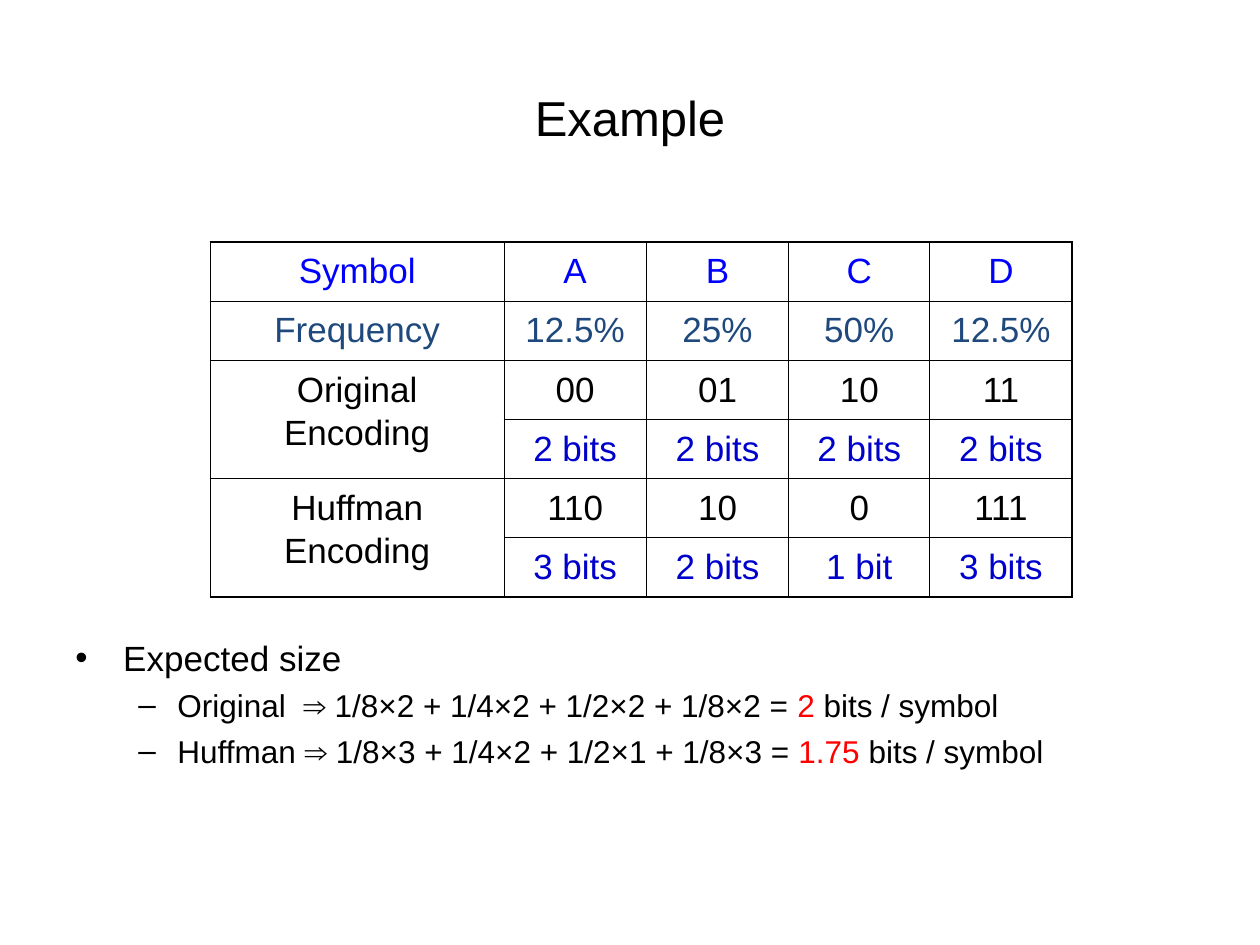
from lxml.etree import SubElement
from pptx import Presentation
from pptx.dml.color import RGBColor
from pptx.enum.text import MSO_ANCHOR as Anchor, PP_ALIGN as Align
from pptx.oxml.ns import qn
from pptx.util import Inches, Pt


def color(value):
    return RGBColor.from_string(value)


def write(paragraph, runs, size, formats):
    for name, value in formats.items():
        setattr(paragraph, name, value)
    for text, tint in runs:
        run = paragraph.add_run()
        run.text = text
        for name, value in {"name": "Arial", "size": Pt(size)}.items():
            setattr(run.font, name, value)
        run.font.color.rgb = color(tint)


BLACK, RED = "000000", "FF0000"

prs = Presentation()
prs.slide_width, prs.slide_height = Inches(10), Inches(7.5)
slide = prs.slides.add_slide(prs.slide_layouts[6])

title = slide.shapes.add_textbox(Inches(0.5), Inches(0.3), Inches(9), Inches(1.25)).text_frame
for name, value in {"word_wrap": True, "vertical_anchor": Anchor.MIDDLE}.items():
    setattr(title, name, value)
write(title.paragraphs[0], [("Example", BLACK)], 28, {"alignment": Align.CENTER})

sizes = slide.shapes.add_textbox(Inches(0.5), Inches(5), Inches(9), Inches(1.7)).text_frame
sizes.word_wrap = True
lines = [
    (0, [("Expected size", BLACK)]),
    (1, [("Original  ⇒ 1/8×2 + 1/4×2 + 1/2×2 + 1/8×2 = ", BLACK), ("2", RED), (" bits / symbol", BLACK)]),
    (1, [("Huffman ⇒ 1/8×3 + 1/4×2 + 1/2×1 + 1/8×3 = ", BLACK), ("1.75", RED), (" bits / symbol", BLACK)]),
]
levels = [("•", 20, 5, 0.38, -0.38), ("–", 18, 4.5, 0.81, -0.31)]
for index, (level, runs) in enumerate(lines):
    bullet, size, gap, margin, indent = levels[level]
    line = sizes.add_paragraph() if index else sizes.paragraphs[0]
    write(line, runs, size, {"level": level, "space_before": Pt(gap)})
    props = line._p.get_or_add_pPr()
    props.set("marL", str(Inches(margin)))
    props.set("indent", str(Inches(indent)))
    bullet_color = SubElement(props, qn("a:buClr"))
    SubElement(bullet_color, qn("a:srgbClr"), val=BLACK)
    SubElement(props, qn("a:buFont"), typeface="Arial")
    SubElement(props, qn("a:buChar"), char=bullet)

encodings = [
    ("0000FF", ["Symbol", "A", "B", "C", "D"]),
    ("1F497D", ["Frequency", "12.5%", "25%", "50%", "12.5%"]),
    (BLACK, ["Original Encoding", "00", "01", "10", "11"]),
    ("0000CC", ["", "2 bits", "2 bits", "2 bits", "2 bits"]),
    (BLACK, ["Huffman Encoding", "110", "10", "0", "111"]),
    ("0000CC", ["", "3 bits", "2 bits", "1 bit", "3 bits"]),
]
widths = [2.33, 1.13, 1.13, 1.12, 1.13]
row_count, column_count = len(encodings), len(widths)
table = slide.shapes.add_table(
    row_count, column_count, Inches(1.67), Inches(1.92), Inches(6.84), Inches(2.83)
).table
for name in ("first_row", "horz_banding"):
    setattr(table, name, False)
for column, width in zip(table.columns, widths):
    column.width = Inches(width)
for row in table.rows:
    row.height = Inches(0.47)
for top in (2, 4):
    table.cell(top, 0).merge(table.cell(top + 1, 0))

cell_format = {"alignment": Align.CENTER, "line_spacing": 1.1, "space_before": Pt(5)}
for r, (tint, texts) in enumerate(encodings):
    for c, text in enumerate(texts):
        cell = table.cell(r, c)
        if cell.is_spanned:
            continue
        write(cell.text_frame.paragraphs[0], [(text, tint)], 20, cell_format)
        bottom = r + (cell.span_height if cell.is_merge_origin else 1)
        outer_edges = {
            "a:lnL": c == 0,
            "a:lnR": c == column_count - 1,
            "a:lnT": r == 0,
            "a:lnB": bottom == row_count,
        }
        props = cell._tc.get_or_add_tcPr()
        for edge, outer in outer_edges.items():
            border = SubElement(props, qn(edge), w=str(Pt(1.08 if outer else 0.45)))
            SubElement(SubElement(border, qn("a:solidFill")), qn("a:srgbClr"), val=BLACK)
        cell.fill.background()

prs.save("out.pptx")
